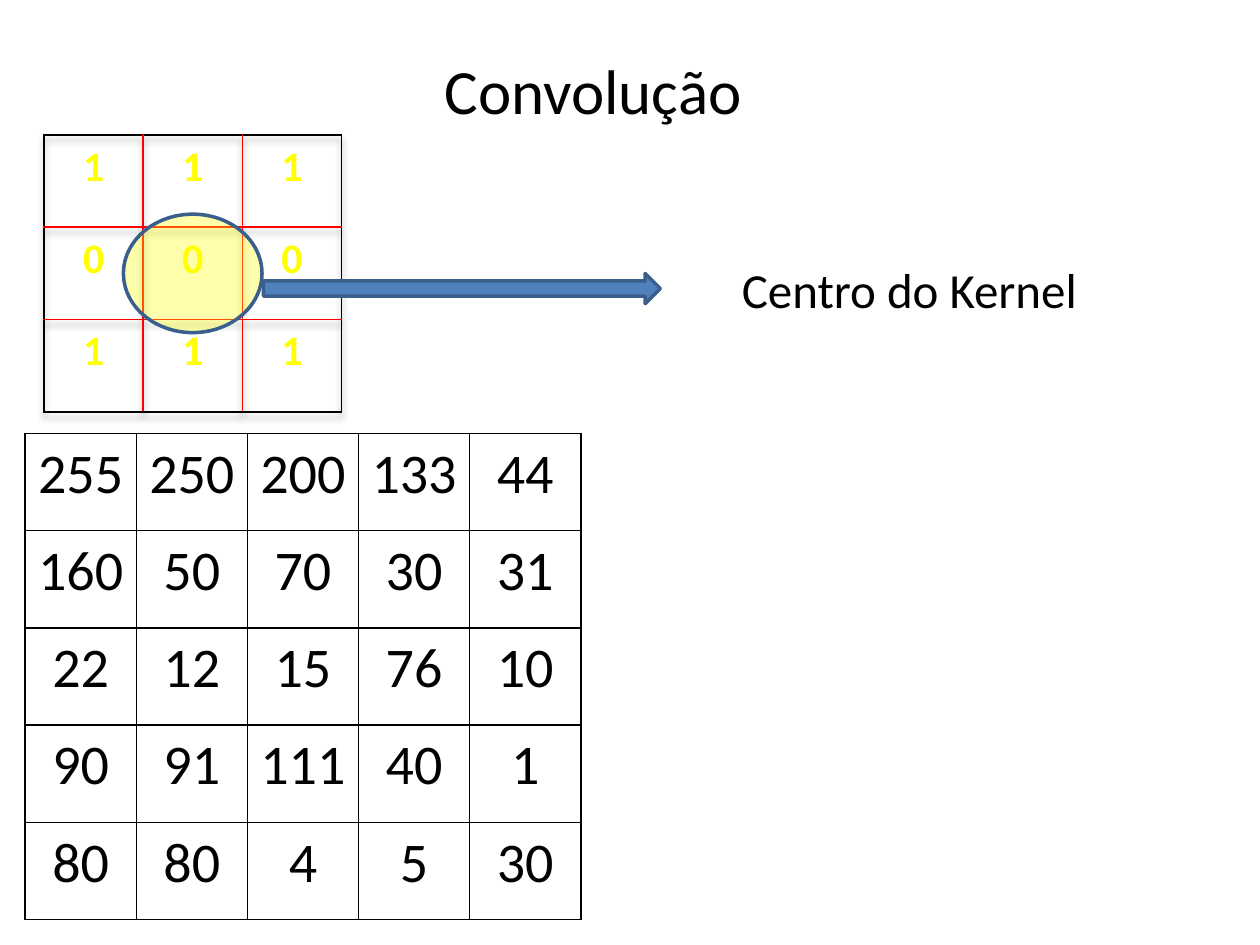
from dataclasses import dataclass
from lxml.etree import SubElement as Sub
from pptx import Presentation
from pptx.dml.color import RGBColor as RGB
from pptx.enum.shapes import MSO_SHAPE as Shape
from pptx.enum.text import MSO_AUTO_SIZE as Fit, PP_ALIGN as Align
from pptx.oxml.ns import qn
from pptx.util import Inches, Pt

KERNEL = [[1, 1, 1],
          [0, 0, 0],
          [1, 1, 1]]
PIXELS = [[255, 250, 200, 133, 44],
          [160, 50, 70, 30, 31],
          [22, 12, 15, 76, 10],
          [90, 91, 111, 40, 1],
          [80, 80, 4, 5, 30]]
TITLE, LABEL = "Convolução", "Centro do Kernel"

# left, top, width, height in inches
PIXEL_BOX = (0.2, 3.44, 4.41, 3.86)
TITLE_BOX = (3.43, 0.36, 4.72, 0.71)
KERNEL_BOX = (0.35, 1.07, 2.36, 2.2)
ARROW_BOX = (2.09, 2.17, 3.15, 0.24)
LABEL_BOX = (5.79, 2.01, 3.46, 0.57)
RING_SIZE = (1.1, 0.94)


@dataclass(frozen=True)
class Theme:
    font: str = "Calibri"
    ink: str = "000000"
    red: str = "FF0000"
    yellow: str = "FFFF00"
    blue: str = "4F81BD"
    edge: str = "3A5F8C"
    title: int = 36
    pixel: int = 32
    label: int = 28
    kernel: int = 24


T = Theme()


def place(box):
    return [Inches(v) for v in box]


def paint(parent, color, alpha=None):
    """Add a solid fill, with alpha in percent, to an XML element."""
    fill = Sub(parent, qn("a:solidFill"))
    tone = Sub(fill, qn("a:srgbClr"), val=color)
    if alpha:
        Sub(tone, qn("a:alpha"), val=str(alpha * 1000))


def write(frame, text, size, color=T.ink, bold=False):
    run = frame.paragraphs[0].add_run()
    run.text = text
    font = run.font
    font.name, font.size, font.bold = T.font, Pt(size), bold
    font.color.rgb = RGB.from_string(color)
    return run


def add_text(slide, box, text, size):
    frame = slide.shapes.add_textbox(*place(box)).text_frame
    frame.word_wrap = True
    frame.auto_size = Fit.SHAPE_TO_FIT_TEXT
    write(frame, text, size)


def add_border(cell, sides):
    props = cell._tc.get_or_add_tcPr()
    for n, (side, color) in enumerate(sides.items()):
        line = props.makeelement(qn(f"a:ln{side}"), w=str(Pt(1)))
        paint(line, color)
        props.insert(n, line)


def add_grid(slide, box, rows, size, color, inner, bold=False, pad=0.1):
    """Add a table of equal cells with a black frame and inner lines."""
    high, wide = len(rows), len(rows[0])
    table = slide.shapes.add_table(high, wide, *place(box)).table
    table.first_row = table.horz_banding = False
    for col in table.columns:
        col.width = Inches(box[2] / wide)
    for row in table.rows:
        row.height = Inches(box[3] / high)
    for r, row in enumerate(rows):
        for c, value in enumerate(row):
            cell = table.cell(r, c)
            cell.fill.background()
            cell.margin_left = cell.margin_right = Inches(pad)
            outer = {"L": c == 0, "R": c == wide - 1,
                     "T": r == 0, "B": r == high - 1}
            add_border(cell, {side: T.ink if rim else inner
                              for side, rim in outer.items()})
            run = write(cell.text_frame, str(value), size, color, bold)
            cell.text_frame.paragraphs[0].alignment = Align.CENTER
            if bold:
                props = run.font._element
                line = props.makeelement(qn("a:ln"), w=str(Pt(0.75)))
                paint(line, T.red)
                props.insert(0, line)
    return table


def add_shadow(table):
    props = table._tbl.tblPr
    effects = props.makeelement(qn("a:effectLst"))
    shade = Sub(effects, qn("a:outerShdw"), blurRad=str(Pt(4)),
                dist=str(Pt(3)), dir="5400000", algn="t", rotWithShape="0")
    Sub(Sub(shade, qn("a:srgbClr"), val=T.ink), qn("a:alpha"), val="40000")
    props.insert(0, effects)


def add_shape(slide, kind, box, color, alpha=None):
    shape = slide.shapes.add_shape(kind, *place(box))
    shape.shadow.inherit = False
    shape.fill.solid()
    shape.fill.fore_color.rgb = RGB.from_string(color)
    if alpha:
        tone = shape._element.spPr.find(".//" + qn("a:srgbClr"))
        Sub(tone, qn("a:alpha"), val=str(alpha * 1000))
    shape.line.color.rgb = RGB.from_string(T.edge)
    shape.line.width = Pt(2)


def main():
    deck = Presentation()
    deck.slide_width, deck.slide_height = Inches(10), Inches(7.5)
    slide = deck.slides.add_slide(deck.slide_layouts[6])
    add_grid(slide, PIXEL_BOX, PIXELS, T.pixel, T.ink, T.ink, pad=0.07)
    add_text(slide, TITLE_BOX, TITLE, T.title)
    kernel = add_grid(slide, KERNEL_BOX, KERNEL, T.kernel, T.yellow, T.red,
                      bold=True)
    add_shadow(kernel)
    left, top, wide, high = KERNEL_BOX
    ring = (left + (wide - RING_SIZE[0]) / 2,
            top + (high - RING_SIZE[1]) / 2, *RING_SIZE)
    add_shape(slide, Shape.OVAL, ring, T.yellow, alpha=33)
    add_shape(slide, Shape.RIGHT_ARROW, ARROW_BOX, T.blue)
    add_text(slide, LABEL_BOX, LABEL, T.label)
    deck.save("out.pptx")


if __name__ == "__main__":
    main()
